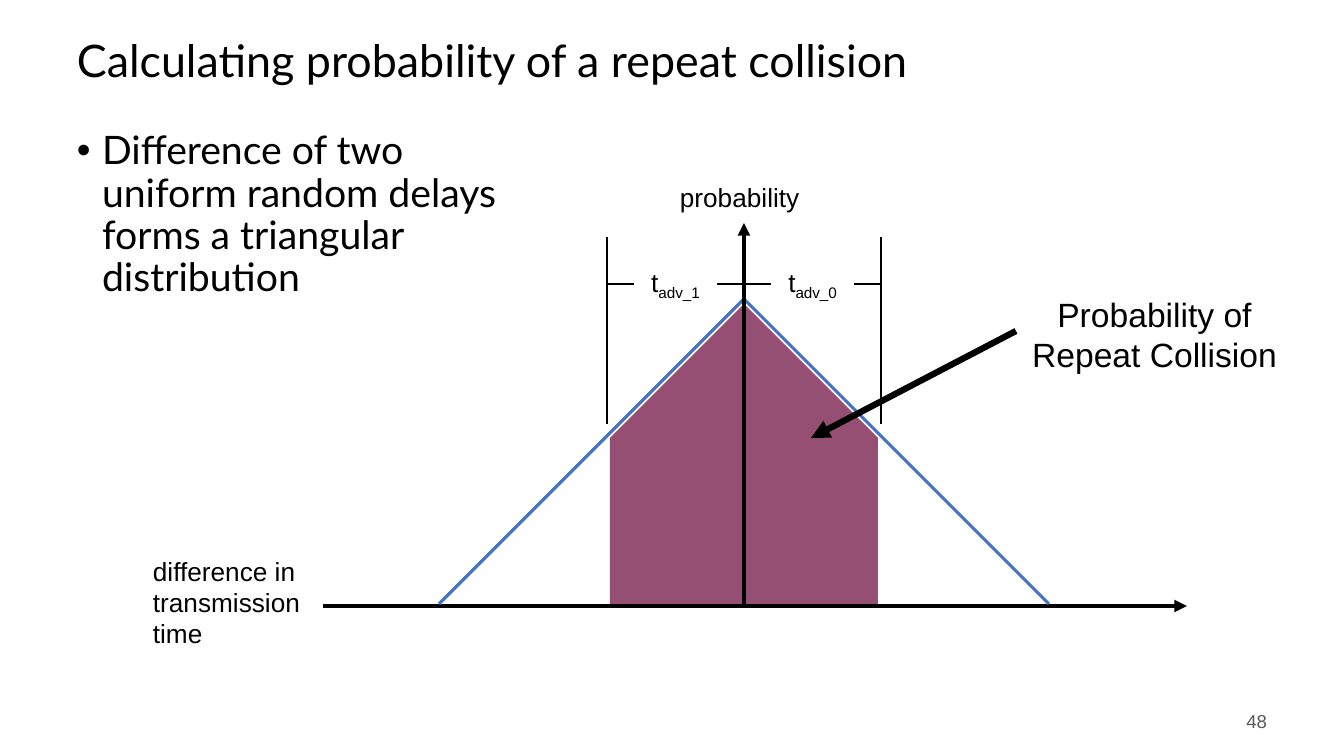
from lxml import etree
from pptx import Presentation, util as u
from pptx.dml.color import RGBColor
from pptx.enum import shapes, text
from pptx.oxml.ns import qn

PX = 914400 / 100.8
COLORS = {"ink": "000000", "curve": "4472C4", "area": "954F72", "number": "595959"}
LEFT, CENTER, RIGHT = text.PP_ALIGN.LEFT, text.PP_ALIGN.CENTER, text.PP_ALIGN.RIGHT
TOP, MIDDLE = text.MSO_ANCHOR.TOP, text.MSO_ANCHOR.MIDDLE

TITLE = "Calculating probability of a repeat collision"
BULLET = "Difference of two uniform random delays forms a triangular distribution"
LABELS = [
    ("difference in transmission time", (143, 550, 211, 105), 18.7, LEFT),
    ("probability", (670, 176, 147, 42), 18.7, LEFT),
    ("Probability of Repeat Collision", (1016, 289, 277, 92), 24, CENTER),
]
SIDES = [(-1, "adv_1"), (1, "adv_0")]

AXIS_X, AXIS_Y = 744, 606
PEAK, BASE, HALF_BASE = 299, 604, 305
AREA_TOP, AREA_WIDTH = 304, 134
BRACKET_TOP, BRACKET_BOTTOM, BRACKET_WIDTH = 237, 424, 137
TICK_Y, TICK = 284, 27


def px(value):
    return u.Emu(round(value * PX))


def color(name):
    return RGBColor.from_string(COLORS[name])


def style(span, size, font="Arial", ink="ink"):
    span.font.size = u.Pt(size)
    span.font.name = font
    span.font.color.rgb = color(ink)


def add_text(words, place, size, align=LEFT, font="Arial", ink="ink", anchor=TOP):
    box = page.shapes.add_textbox(*map(px, place))
    frame = box.text_frame
    frame.word_wrap = True
    frame.vertical_anchor = anchor
    frame.text = words
    para = frame.paragraphs[0]
    para.alignment = align
    style(para.runs[0], size, font, ink)
    return para


def add_line(start, end, width, ink="ink", arrow=False):
    line = page.shapes.add_connector(shapes.MSO_CONNECTOR.STRAIGHT, *map(px, start + end))
    line.line.color.rgb = color(ink)
    line.line.width = u.Pt(width)
    if arrow:
        etree.SubElement(line.line._get_or_add_ln(), qn("a:tailEnd"), type="triangle")
    etree.SubElement(line._element.spPr, qn("a:effectLst"))


def add_area(kind, place, mirrored):
    shape = page.shapes.add_shape(kind, *map(px, place))
    shape.shadow.inherit = False
    shape.fill.solid()
    shape.fill.fore_color.rgb = color("area")
    shape.line.fill.background()
    if mirrored:
        shape._element.spPr.find(qn("a:xfrm")).set("flipH", "1")


deck = Presentation()
deck.slide_width, deck.slide_height = px(1344), px(756)
page = deck.slides.add_slide(deck.slide_layouts[6])

title = add_text(TITLE, (67, 25, 1210, 76), 32, font="Lato", anchor=MIDDLE)
title.line_spacing = 0.9

bullet = add_text(BULLET, (67, 126, 469, 554), 28, font="Lato")
bullet.line_spacing = 0.9
props = bullet._p.get_or_add_pPr()
props.set("marL", "228600")
props.set("indent", "-228600")
etree.SubElement(props, qn("a:buFont"), typeface="Arial")
etree.SubElement(props, qn("a:buChar"), char="•")

add_text("48", (1176, 701, 101, 40), 13.3, RIGHT, ink="number", anchor=MIDDLE)
for words, place, size, align in LABELS:
    add_text(words, place, size, align)

add_line((323, AXIS_Y), (1187, AXIS_Y), 3, arrow=True)

for side, name in SIDES:
    add_line((AXIS_X + side * HALF_BASE, BASE), (AXIS_X, PEAK), 2.25, "curve")
    left = min(AXIS_X, AXIS_X + side * AREA_WIDTH)
    shoulder = AREA_TOP + AREA_WIDTH
    add_area(shapes.MSO_SHAPE.RIGHT_TRIANGLE,
             (left, AREA_TOP, AREA_WIDTH, AREA_WIDTH), side < 0)
    add_area(shapes.MSO_SHAPE.RECTANGLE,
             (left, shoulder, AREA_WIDTH, BASE - shoulder), False)

add_line((AXIS_X, AXIS_Y), (AXIS_X, 223), 3, arrow=True)

for side, name in SIDES:
    edge = AXIS_X + side * BRACKET_WIDTH
    add_line((edge, BRACKET_TOP), (edge, BRACKET_BOTTOM), 1.5)
    add_line((edge, TICK_Y), (edge - side * TICK, TICK_Y), 1.5)
    add_line((AXIS_X, TICK_Y), (AXIS_X + side * TICK, TICK_Y), 1.5)
    middle = (AXIS_X + edge) / 2
    para = add_text("t", (middle - 41, 261, 82, 42), 18.7, CENTER)
    span = para.add_run()
    span.text = name
    style(span, 18.7)
    span.font._element.set("baseline", "-25000")

add_line((1016, 331), (811, 438), 4.5, arrow=True)

deck.save("out.pptx")
